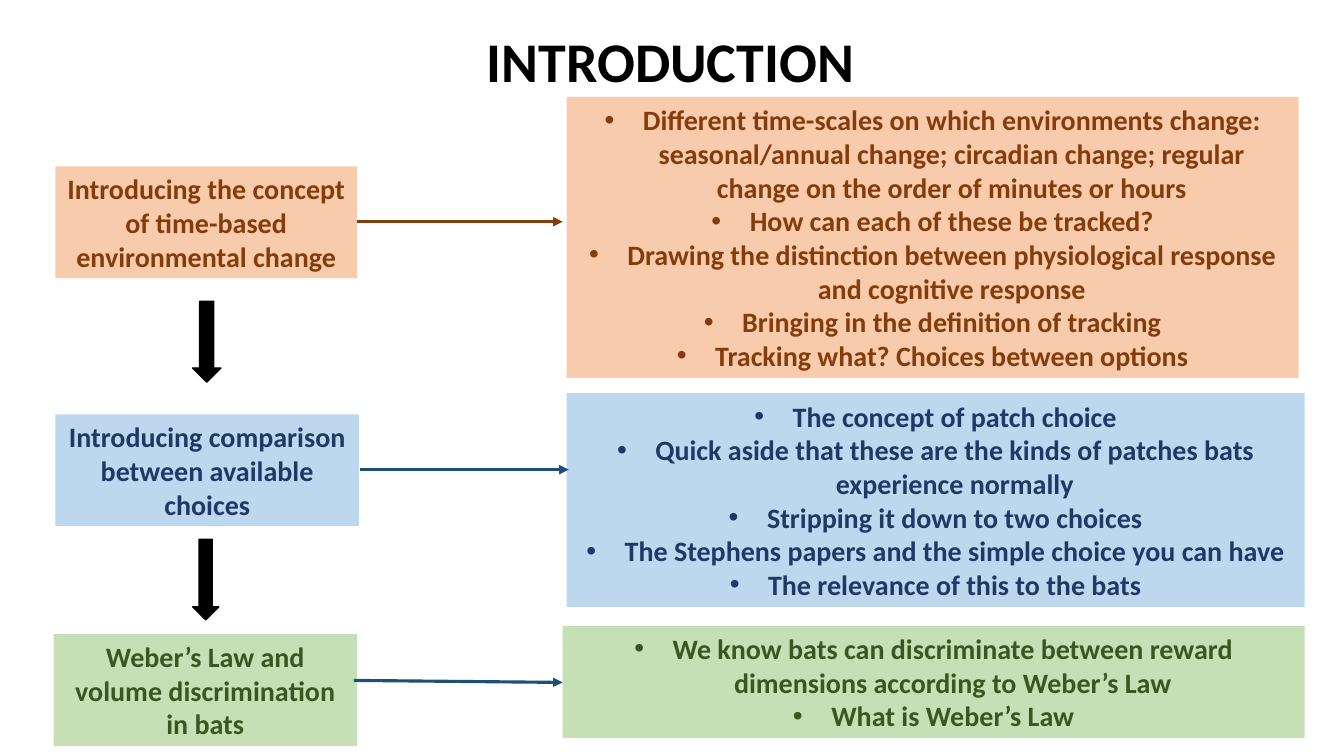
"""Build the INTRODUCTION slide: three linked topics with their details."""
from lxml import etree
from pptx import Presentation
from pptx.dml.color import RGBColor
from pptx.enum.shapes import MSO_CONNECTOR, MSO_SHAPE
from pptx.enum.text import MSO_ANCHOR, PP_ALIGN
from pptx.oxml.ns import qn
from pptx.util import Inches, Pt

RECTANGLE, DOWN_ARROW = MSO_SHAPE.RECTANGLE, MSO_SHAPE.DOWN_ARROW
STRAIGHT = MSO_CONNECTOR.STRAIGHT
MIDDLE, CENTER = MSO_ANCHOR.MIDDLE, PP_ALIGN.CENTER

BLACK = RGBColor(0x00, 0x00, 0x00)
PEACH, BROWN = RGBColor(0xF8, 0xCB, 0xAD), RGBColor(0x84, 0x3C, 0x0B)
SKY, NAVY = RGBColor(0xBD, 0xD7, 0xEE), RGBColor(0x20, 0x38, 0x64)
MINT, FOREST = RGBColor(0xC5, 0xE0, 0xB4), RGBColor(0x38, 0x57, 0x23)
STEEL = RGBColor(0x1F, 0x4E, 0x79)

deck = Presentation()
deck.slide_width, deck.slide_height = Inches(13.33), Inches(7.5)
page = deck.slides.add_slide(deck.slide_layouts[6])
COLUMN, ROW = deck.slide_width / 100, deck.slide_height / 100
BULLET_INDENT = Inches(0.38)


def place(left, top, width, height):
    """Turn percentages of the slide into lengths."""
    return [round(left * COLUMN), round(top * ROW),
            round(width * COLUMN), round(height * ROW)]


def write(para, text, size, color):
    """Add one bold run."""
    span = para.add_run()
    span.text = text
    span.font.name = "Calibri"
    span.font.size = Pt(size)
    span.font.bold = True
    span.font.color.rgb = color


title = page.shapes.add_textbox(*place(35.48, 2.8, 29.11, 10.27))
title.text_frame.word_wrap = False
write(title.text_frame.paragraphs[0], "INTRODUCTION", 40, BLACK)

BOXES = [
    ((4.13, 22, 22.43, 14.8), PEACH, BROWN, False,
     ["Introducing the concept of time-based environmental change"]),
    ((4.13, 54.8, 22.58, 14.8), SKY, NAVY, False,
     ["Introducing comparison between available choices"]),
    ((3.98, 83.87, 22.58, 14.8), MINT, FOREST, False,
     ["Weber’s Law and volume discrimination in bats"]),
    ((42.16, 12.8, 54.46, 37.2), PEACH, BROWN, True,
     ["Different time-scales on which environments change: seasonal/annual change; "
      "circadian change; regular change on the order of minutes or hours",
      "How can each of these be tracked?",
      "Drawing the distinction between physiological response and cognitive response",
      "Bringing in the definition of tracking",
      "Tracking what? Choices between options"]),
    ((42.16, 52, 54.91, 28.27), SKY, NAVY, True,
     ["The concept of patch choice",
      "Quick aside that these are the kinds of patches bats experience normally",
      "Stripping it down to two choices",
      "The Stephens papers and the simple choice you can have",
      "The relevance of this to the bats"]),
    ((41.86, 82.8, 55.21, 14.8), MINT, FOREST, True,
     ["We know bats can discriminate between reward dimensions according to Weber’s Law",
      "What is Weber’s Law"]),
]
for area, fill, ink, bulleted, lines in BOXES:
    box = page.shapes.add_shape(RECTANGLE, *place(*area))
    box.shadow.inherit = False
    box.fill.solid()
    box.fill.fore_color.rgb = fill
    box.line.fill.background()
    frame = box.text_frame
    frame.word_wrap = True
    frame.vertical_anchor = MIDDLE
    for index, line in enumerate(lines):
        para = frame.add_paragraph() if index else frame.paragraphs[0]
        para.alignment = CENTER
        write(para, line, 20, ink)
        if bulleted:
            settings = para._p.get_or_add_pPr()
            settings.set("marL", str(BULLET_INDENT))
            settings.set("indent", str(-BULLET_INDENT))
            etree.SubElement(settings, qn("a:buFont")).set("typeface", "Arial")
            etree.SubElement(settings, qn("a:buChar")).set("char", "•")

for top, width in [(39.87, 2.1), (71.33, 1.95)]:
    step = page.shapes.add_shape(DOWN_ARROW, *place(14.33, top, width, 10.67))
    step.shadow.inherit = False
    step.fill.solid()
    step.fill.fore_color.rgb = BLACK
    step.line.color.rgb = BLACK
    step.line.width = Pt(1)

LINKS = [
    ((26.56, 29.33, 41.86, 29.33), BROWN),
    ((26.78, 62.13, 42.31, 62.13), STEEL),
    ((26.33, 90, 41.86, 90.27), STEEL),
]
for ends, color in LINKS:
    link = page.shapes.add_connector(STRAIGHT, *place(*ends))
    link.line.color.rgb = color
    link.line.width = Pt(2.25)
    etree.SubElement(link.line._get_or_add_ln(), qn("a:tailEnd")).set("type", "triangle")
    etree.SubElement(link._element.spPr, qn("a:effectLst"))

deck.save("out.pptx")
